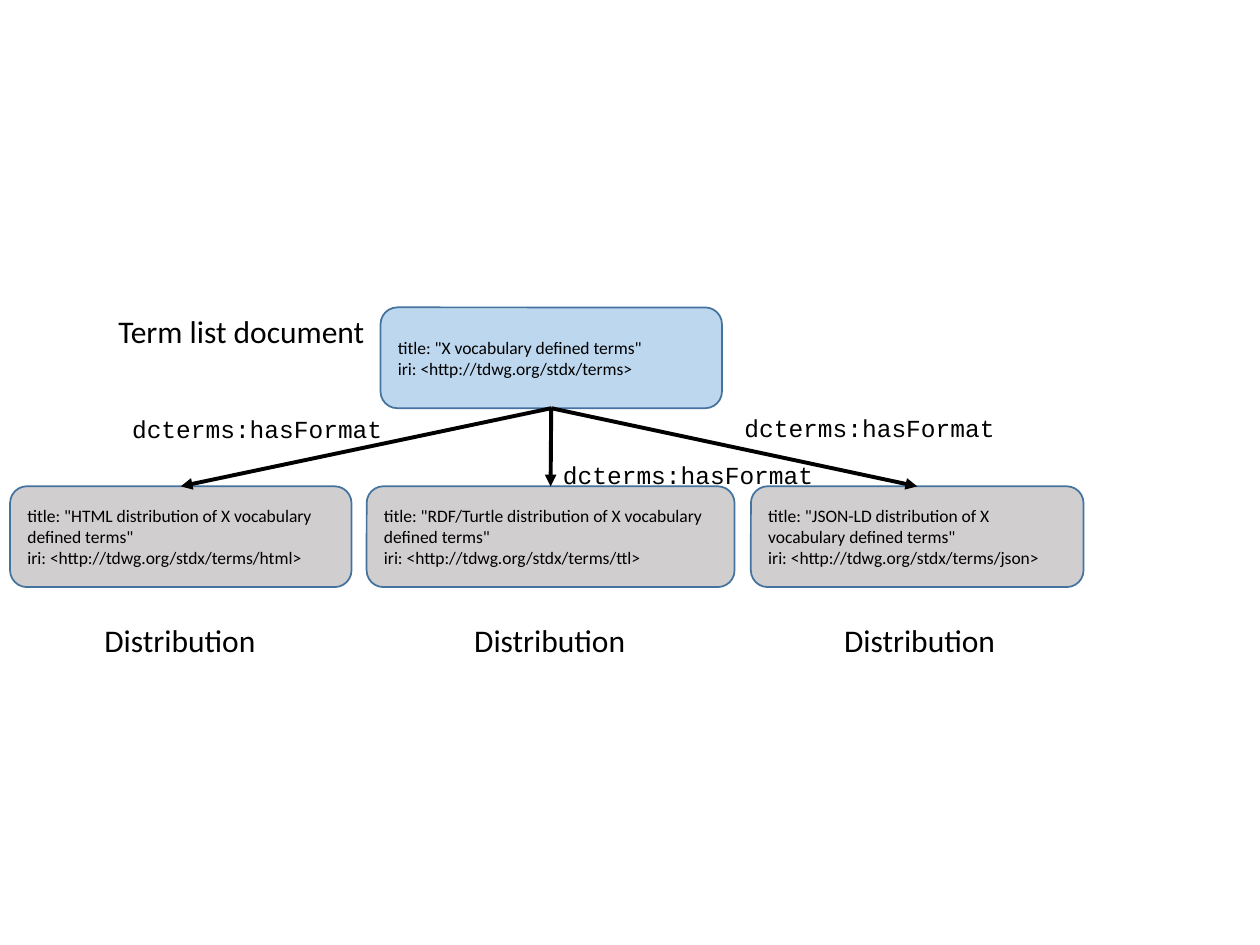
"""Build a slide showing a term list document and its three distributions."""
import pptx
import pptx.dml.color
import pptx.enum.shapes
import pptx.enum.text
import pptx.oxml
import pptx.oxml.ns
import pptx.util

BLACK = pptx.dml.color.RGBColor(0x00, 0x00, 0x00)
BLUE = pptx.dml.color.RGBColor(0xBD, 0xD7, 0xEE)
GREY = pptx.dml.color.RGBColor(0xD0, 0xCE, 0xCE)
OUTLINE = pptx.dml.color.RGBColor(0x43, 0x73, 0x9E)

deck = pptx.Presentation()
deck.slide_width = pptx.util.Inches(10)
deck.slide_height = pptx.util.Inches(7.5)
column = deck.slide_width / 100
row = deck.slide_height / 75
slide = deck.slides.add_slide(deck.slide_layouts[6])


def write(frame, lines, size, font):
    frame.text = "\n".join(lines)
    for paragraph in frame.paragraphs:
        paragraph.alignment = pptx.enum.text.PP_ALIGN.LEFT
        paragraph.font.size = pptx.util.Pt(size)
        paragraph.font.name = font
        paragraph.font.color.rgb = BLACK


def add_resource(left, top, width, fill, title, iri):
    resource = slide.shapes.add_shape(
        pptx.enum.shapes.MSO_SHAPE.ROUNDED_RECTANGLE,
        int(left * column), int(top * row), int(width * column), int(8 * row))
    resource.shadow.inherit = False
    resource.fill.solid()
    resource.fill.fore_color.rgb = fill
    resource.line.color.rgb = OUTLINE
    resource.line.width = pptx.util.Pt(1)
    resource.text_frame.vertical_anchor = pptx.enum.text.MSO_ANCHOR.MIDDLE
    write(resource.text_frame, [f'title: "{title}"', f"iri: <{iri}>"], 10, "Calibri")
    return resource


terms_title = "X vocabulary defined terms"
terms_iri = "http://tdwg.org/stdx/terms"
term_list = add_resource(30.2, 24.4, 27.1, BLUE, terms_title, terms_iri)

for syntax, suffix, left, width in (
        ("HTML", "html", 0.8, 27.1),
        ("RDF/Turtle", "ttl", 29.1, 29.2),
        ("JSON-LD", "json", 59.6, 26.4)):
    distribution = add_resource(left, 38.6, width, GREY,
                                f"{syntax} distribution of {terms_title}",
                                f"{terms_iri}/{suffix}")
    has_format = slide.shapes.add_connector(
        pptx.enum.shapes.MSO_CONNECTOR.STRAIGHT, 0, 0, 0, 0)
    has_format.begin_connect(term_list, 2)
    has_format.end_connect(distribution, 0)
    has_format.line.color.rgb = BLACK
    has_format.line.width = pptx.util.Pt(2.25)
    arrowhead = pptx.oxml.parse_xml(
        f'<a:tailEnd {pptx.oxml.ns.nsdecls("a")} type="triangle"/>')
    has_format.line._get_or_add_ln().append(arrowhead)
    no_shadow = pptx.oxml.parse_xml(f'<a:effectLst {pptx.oxml.ns.nsdecls("a")}/>')
    has_format._element.spPr.append(no_shadow)

labels = [("Term list document", 8.4, 24.3, 21.8, 4, 18, "Calibri")]
labels += [("Distribution", 7.3 + 29.35 * place, 48.8, 14.2, 4, 18, "Calibri")
           for place in range(3)]
labels += [("dcterms:hasFormat", left, top, 22, 3.4, 14, "Courier New")
           for left, top in ((9.5, 32.4), (43.7, 36), (58.1, 32.3))]

for wording, left, top, width, height, size, font in labels:
    label = slide.shapes.add_textbox(
        int(left * column), int(top * row), int(width * column), int(height * row))
    label.text_frame.word_wrap = False
    label.text_frame.auto_size = pptx.enum.text.MSO_AUTO_SIZE.SHAPE_TO_FIT_TEXT
    write(label.text_frame, [wording], size, font)

deck.save("out.pptx")
